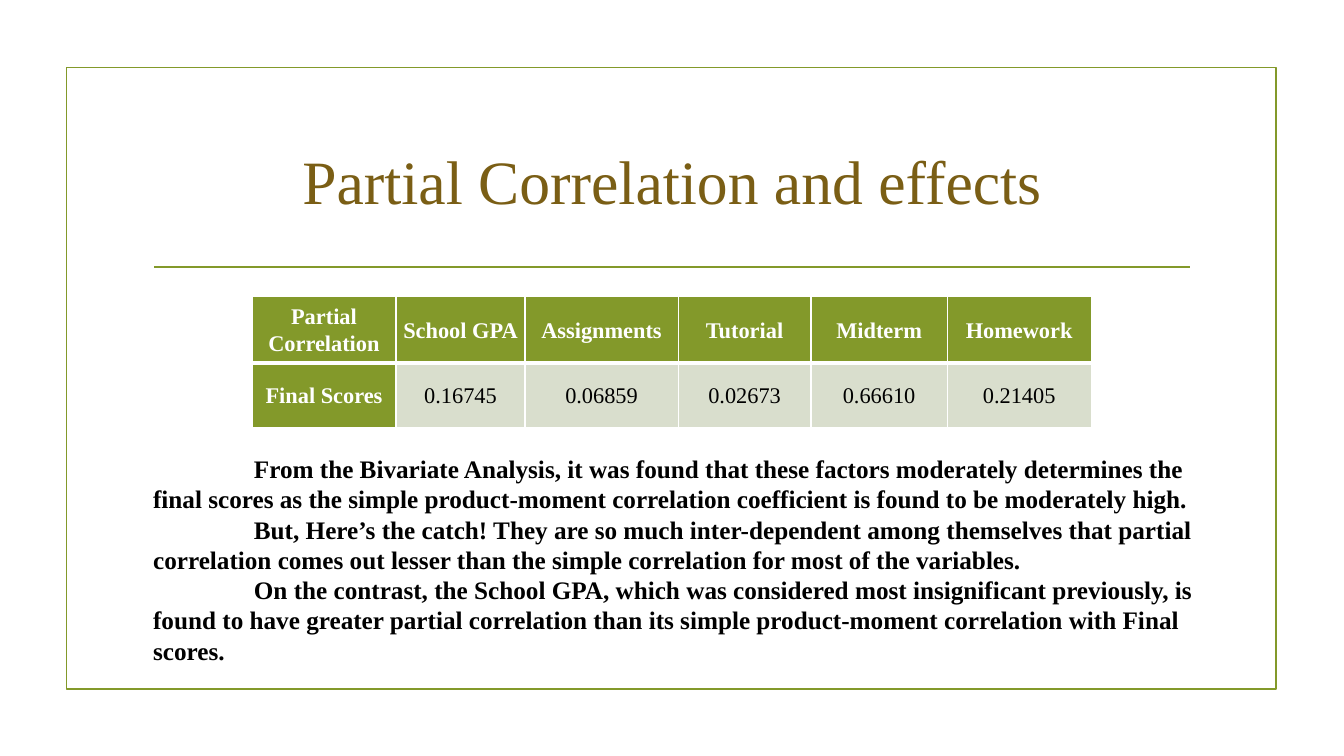
from dataclasses import dataclass

from lxml import etree
from pptx import Presentation
from pptx.dml.color import RGBColor
from pptx.enum.shapes import MSO_CONNECTOR, MSO_SHAPE
from pptx.enum.text import MSO_ANCHOR, PP_ALIGN
from pptx.oxml.ns import qn
from pptx.util import Cm, Pt

STRAIGHT = MSO_CONNECTOR.STRAIGHT
RECTANGLE = MSO_SHAPE.RECTANGLE
MIDDLE, TOP = MSO_ANCHOR.MIDDLE, MSO_ANCHOR.TOP
CENTER, LEFT = PP_ALIGN.CENTER, PP_ALIGN.LEFT


@dataclass(frozen=True)
class Theme:
    font: str = "Times New Roman"
    green: str = "83992A"
    pale_green: str = "D9DECD"
    brown: str = "7A5E15"
    black: str = "000000"
    white: str = "FFFFFF"
    title_size: int = 44
    body_size: int = 18
    table_size: int = 16
    rule_width: float = 1.25
    cell_border: int = 1
    header_border: int = 3


THEME = Theme()
BLANK_LAYOUT = 6
TITLE = "Partial Correlation and effects"
SCORES = [
    ["Partial Correlation", "School GPA", "Assignments", "Tutorial", "Midterm", "Homework"],
    ["Final Scores", "0.16745", "0.06859", "0.02673", "0.66610", "0.21405"],
]
COLUMN_WIDTHS = [3.63, 3.25, 3.86, 3.35, 3.43, 3.63]
ROW_HEIGHTS = [1.68, 1.63]
FINDINGS = [
    "From the Bivariate Analysis, it was found that these factors moderately determines the "
    "final scores as the simple product-moment correlation coefficient is found to be "
    "moderately high.",
    "But, Here’s the catch! They are so much inter-dependent among themselves that partial "
    "correlation comes out lesser than the simple correlation for most of the variables.",
    "On the contrast, the School GPA, which was considered most insignificant previously, is "
    "found to have greater partial correlation than its simple product-moment correlation "
    "with Final scores.",
]


def rgb(color):
    return RGBColor.from_string(color)


def style_line(line):
    line.color.rgb = rgb(THEME.green)
    line.width = Pt(THEME.rule_width)


def add_run(paragraph, text, size, color, bold=False):
    run = paragraph.add_run()
    run.text = text
    run.font.name = THEME.font
    run.font.size = Pt(size)
    run.font.bold = bold
    run.font.color.rgb = rgb(color)


def add_frame(slide, left, top, width, height):
    frame = slide.shapes.add_shape(RECTANGLE, Cm(left), Cm(top), Cm(width), Cm(height))
    frame.shadow.inherit = False
    frame.fill.background()
    style_line(frame.line)


def add_rule(slide, left, right, height):
    rule = slide.shapes.add_connector(STRAIGHT, Cm(left), Cm(height), Cm(right), Cm(height))
    style_line(rule.line)
    etree.SubElement(rule._element.spPr, qn("a:effectLst"))


def add_text(slide, box, texts, size, color, bold=False, align=LEFT, anchor=TOP, indent=0):
    frame = slide.shapes.add_textbox(*(Cm(length) for length in box)).text_frame
    frame.word_wrap = True
    frame.vertical_anchor = anchor
    for index, text in enumerate(texts):
        paragraph = frame.add_paragraph() if index else frame.paragraphs[0]
        paragraph.alignment = align
        if indent:
            paragraph._p.get_or_add_pPr().set("indent", str(Cm(indent)))
        add_run(paragraph, text, size, color, bold)


def set_borders(cell, **widths):
    properties = cell._tc.get_or_add_tcPr()
    for side in "LRTB":
        width = widths.get(side, THEME.cell_border)
        border = etree.SubElement(properties, qn(f"a:ln{side}"), w=str(Pt(width)))
        fill = etree.SubElement(border, qn("a:solidFill"))
        etree.SubElement(fill, qn("a:srgbClr"), val=THEME.white)


def fill_cell(cell, text, is_header):
    cell.margin_left = cell.margin_right = Cm(0.18)
    cell.margin_top = cell.margin_bottom = 0
    cell.vertical_anchor = MIDDLE
    cell.fill.solid()
    cell.fill.fore_color.rgb = rgb(THEME.green if is_header else THEME.pale_green)
    paragraph = cell.text_frame.paragraphs[0]
    paragraph.alignment = CENTER
    paragraph.line_spacing = 1.07
    color = THEME.white if is_header else THEME.black
    add_run(paragraph, text, THEME.table_size, color, is_header)


def add_score_table(slide, left, top):
    scores = slide.shapes.add_table(
        len(SCORES), len(COLUMN_WIDTHS), Cm(left), Cm(top),
        Cm(sum(COLUMN_WIDTHS)), Cm(sum(ROW_HEIGHTS))).table
    for column, width in zip(scores.columns, COLUMN_WIDTHS):
        column.width = Cm(width)
    for row, height in zip(scores.rows, ROW_HEIGHTS):
        row.height = Cm(height)
    for row_index, values in enumerate(SCORES):
        header_side = "T" if row_index else "B"
        for column_index, value in enumerate(values):
            cell = scores.cell(row_index, column_index)
            set_borders(cell, **{header_side: THEME.header_border})
            fill_cell(cell, value, row_index == 0 or column_index == 0)


def main():
    presentation = Presentation()
    presentation.slide_width = Cm(33.87)
    presentation.slide_height = Cm(19.05)
    slide = presentation.slides.add_slide(presentation.slide_layouts[BLANK_LAYOUT])
    add_frame(slide, 1.68, 1.7, 30.48, 15.67)
    add_rule(slide, 3.89, 30, 6.73)
    add_text(slide, (3.61, 2.72, 26.67, 3.63), [TITLE], THEME.title_size, THEME.brown,
             align=CENTER, anchor=MIDDLE)
    add_score_table(slide, 6.35, 7.47)
    add_text(slide, (3.61, 11.3, 27.1, 6.4), FINDINGS, THEME.body_size, THEME.black,
             bold=True, indent=2.54)
    presentation.save("out.pptx")


if __name__ == "__main__":
    main()
